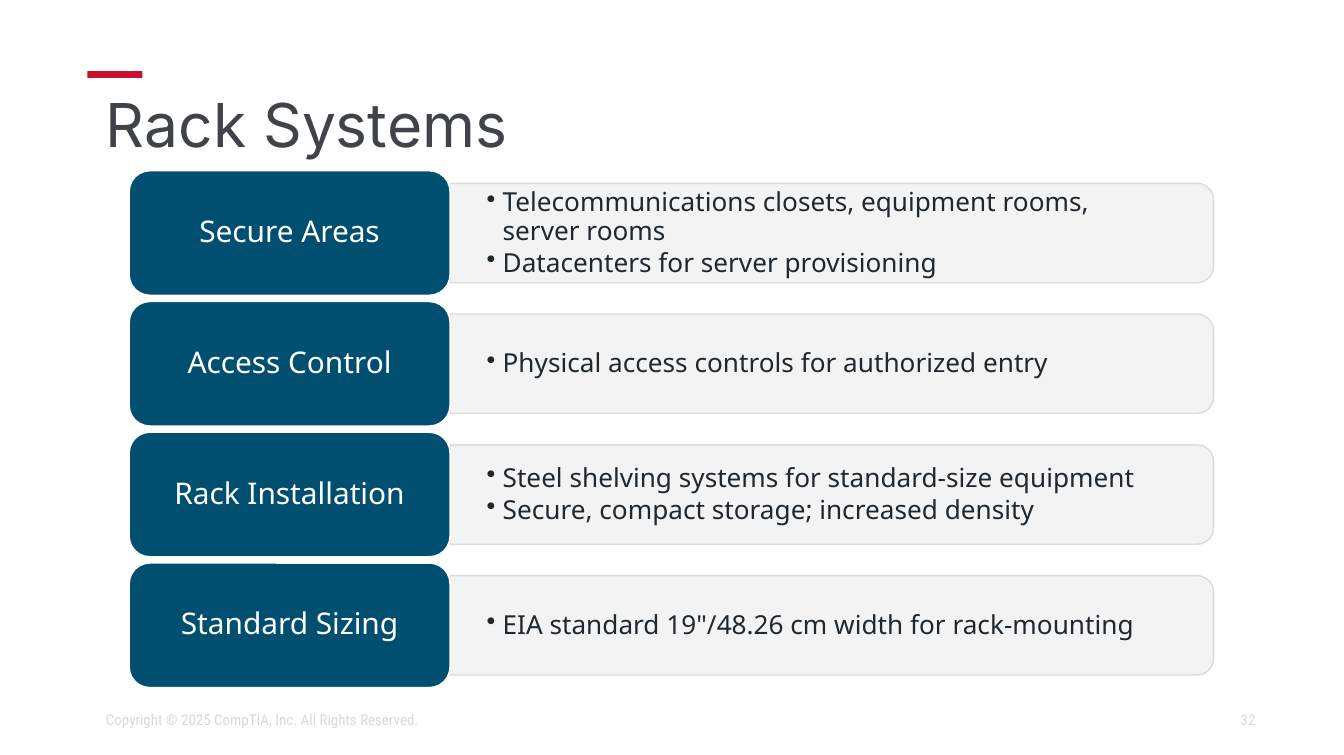
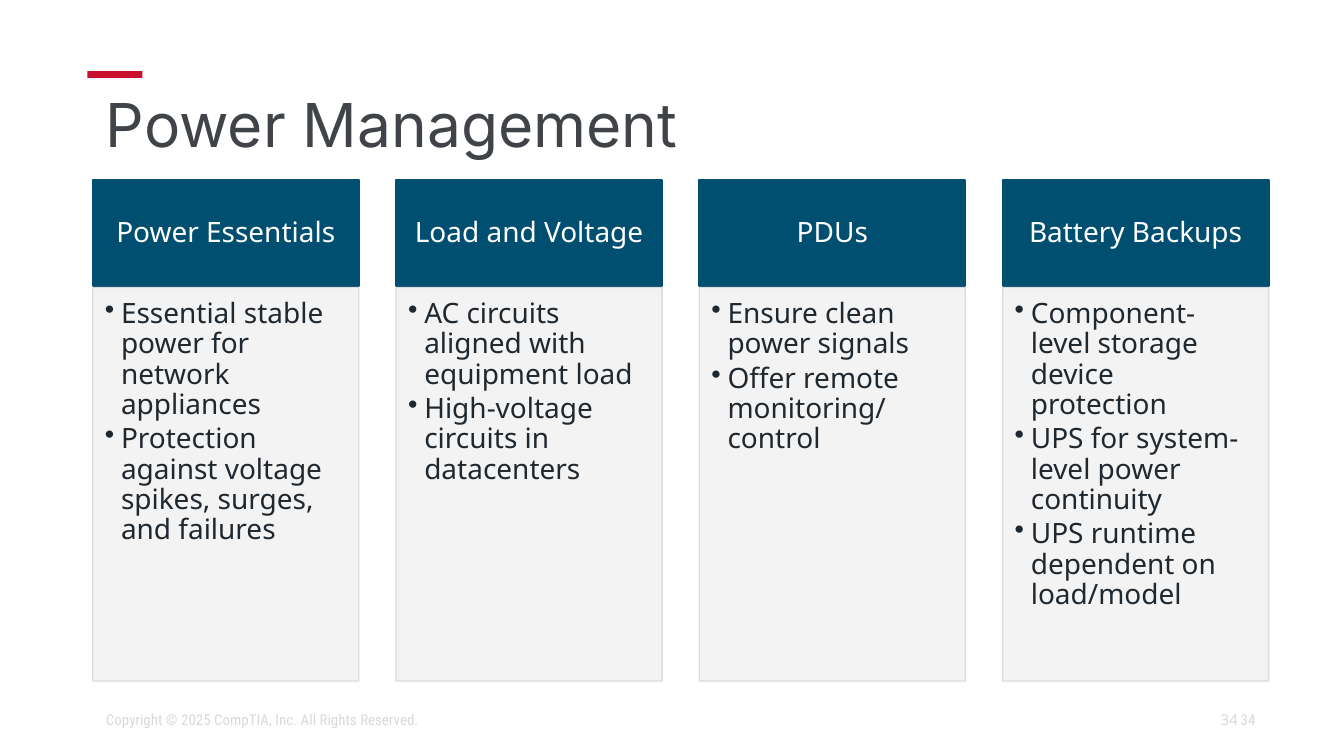
from lxml import etree
from pptx import Presentation
from pptx.dml.color import RGBColor
from pptx.enum.shapes import MSO_SHAPE
from pptx.enum.text import MSO_ANCHOR, PP_ALIGN
from pptx.oxml.ns import qn
from pptx.util import Inches, Pt

RECT = MSO_SHAPE.RECTANGLE
ROUNDED = MSO_SHAPE.ROUNDED_RECTANGLE
ROUND_TOP = MSO_SHAPE.ROUND_2_SAME_RECTANGLE
TOP, MIDDLE = MSO_ANCHOR.TOP, MSO_ANCHOR.MIDDLE
LEFT, CENTER, RIGHT = PP_ALIGN.LEFT, PP_ALIGN.CENTER, PP_ALIGN.RIGHT

RED = RGBColor(0xC8, 0x10, 0x2E)
BLUE = RGBColor(0x00, 0x4F, 0x71)
HEADER_BLUE = RGBColor(0x00, 0x4F, 0x70)
PANEL = RGBColor(0xF2, 0xF2, 0xF2)
PALE = RGBColor(0xD9, 0xD9, 0xD9)
TITLE_GRAY = RGBColor(0x40, 0x44, 0x48)
INK = RGBColor(0x20, 0x28, 0x2F)
WHITE = RGBColor(0xFF, 0xFF, 0xFF)

TITLE_FONT, BODY_FONT, FOOTER_FONT = "Inter", "Noto Sans", "Roboto Condensed"
COPYRIGHT = "Copyright © 2025 CompTIA, Inc. All Rights Reserved."
PLAIN_INSETS = (0.1, 0.05, 0.1, 0.05)

# Content
RACK_SYSTEMS = [
    ("Secure Areas", ["Telecommunications closets, equipment rooms, server rooms",
                      "Datacenters for server provisioning"]),
    ("Access Control", ["Physical access controls for authorized entry"]),
    ("Rack Installation", ["Steel shelving systems for standard-size equipment",
                           "Secure, compact storage; increased density"]),
    ("Standard Sizing", ['EIA standard 19"/48.26 cm width for rack-mounting']),
]
POWER_MANAGEMENT = [
    ("Power Essentials", ["Essential stable power for network appliances",
                          "Protection against voltage spikes, surges, and failures"]),
    ("Load and Voltage", ["AC circuits aligned with equipment load",
                          "High-voltage circuits in datacenters"]),
    ("PDUs", ["Ensure clean power signals", "Offer remote monitoring/ control"]),
    ("Battery Backups", ["Component-level storage device protection",
                         "UPS for system-level power continuity",
                         "UPS runtime dependent on load/model"]),
]


def write(sp, lines, size, color, font=BODY_FONT, align=LEFT, anchor=MIDDLE,
          insets=PLAIN_INSETS, bullet=False, spacing=0.9):
    tf = sp.text_frame
    tf.word_wrap = True
    tf.vertical_anchor = anchor
    tf.margin_left, tf.margin_top, tf.margin_right, tf.margin_bottom = map(Inches, insets)
    for i, line in enumerate(lines):
        p = tf.add_paragraph() if i else tf.paragraphs[0]
        if bullet:
            p.level = 1
            pPr = p._p.get_or_add_pPr()
            pPr.set("marL", str(Inches(0.12)))
            pPr.set("indent", str(-Inches(0.12)))
            etree.SubElement(pPr, qn("a:buChar")).set("char", "•")
            p.space_after = Pt(size * 0.15)
        p.alignment = align
        p.line_spacing = spacing
        r = p.add_run()
        r.text = line
        r.font.name, r.font.size, r.font.color.rgb = font, Pt(size), color


def add_text(s, box, text, size, color, **fmt):
    lines = [text] if isinstance(text, str) else text
    write(s.shapes.add_textbox(*map(Inches, box)), lines, size, color, **fmt)


def add_box(s, kind, box, fill, line=None, width=1, alpha=None):
    sp = s.shapes.add_shape(kind, *map(Inches, box))
    sp.shadow.inherit = False
    sp.fill.solid()
    sp.fill.fore_color.rgb = fill
    if line is None:
        sp.line.fill.background()
    else:
        sp.line.color.rgb = line
        sp.line.width = Pt(width)
    if alpha:
        for clr in sp._element.spPr.iter(qn("a:srgbClr")):
            etree.SubElement(clr, qn("a:alpha")).set("val", str(alpha * 1000))
    return sp


def add_panel(s, kind, box):
    return add_box(s, kind, box, PANEL, PALE, 0.75, alpha=90)


def new_slide(prs, title, number):
    s = prs.slides.add_slide(prs.slide_layouts[6])
    add_box(s, RECT, (0.65, 0.53, 0.41, 0.05), RED)
    add_text(s, (0.69, 0.64, 8.62, 0.63), title, 32.4, TITLE_GRAY, font=TITLE_FONT)
    footer = dict(font=FOOTER_FONT, spacing=1.0)
    add_text(s, (7.06, 5.21, 2.38, 0.3), number, 8, PALE, align=RIGHT, **footer)
    add_text(s, (0.69, 5.21, 4.31, 0.3), COPYRIGHT, 8, PALE, **footer)
    return s


def rack_slide(prs):
    s = new_slide(prs, "Rack Systems", "32")
    left, top, label_w, label_h = 0.96, 1.27, 2.39, 0.93
    panel_w, panel_h = 5.68, 0.74
    pitch = (4.19 - top) / (len(RACK_SYSTEMS) - 1)
    panel_left = left + label_w
    for i, (label, points) in enumerate(RACK_SYSTEMS):
        y = top + i * pitch
        mid = y + label_h / 2
        # Upright panel turned a quarter so its round corners face right
        panel = add_panel(s, ROUND_TOP, (panel_left + (panel_w - panel_h) / 2,
                                         mid - panel_w / 2, panel_h, panel_w))
        panel.rotation = 90
        add_text(s, (panel_left, mid - 0.33, 5.65, 0.67), points, 14, INK,
                 insets=(0.27, 0.14, 0.27, 0.14), bullet=True)
        tab = add_box(s, ROUNDED, (left, y, label_w, label_h), BLUE, WHITE)
        write(tab, [label], 16, WHITE, align=CENTER, insets=(0.07, 0.03, 0.07, 0.03))


def power_slide(prs):
    s = new_slide(prs, "Power Management", "34")
    # Second page number beside the footer one
    add_text(s, (7.06, 5.21, 2.25, 0.3), "34", 8, PALE, align=RIGHT, spacing=1.0)
    left, top, col_w, header_h, body_h = 0.69, 1.34, 1.98, 0.79, 2.93
    pitch = (7.46 - left) / (len(POWER_MANAGEMENT) - 1)
    for i, (label, points) in enumerate(POWER_MANAGEMENT):
        x = left + i * pitch
        header = add_box(s, RECT, (x, top, col_w, header_h), HEADER_BLUE, HEADER_BLUE)
        write(header, [label], 15, WHITE, align=CENTER, insets=(0.12, 0.07, 0.12, 0.07))
        body = add_panel(s, RECT, (x, top + header_h + 0.01, col_w, body_h))
        write(body, points, 15, INK, anchor=TOP, insets=(0.09, 0.09, 0.12, 0.13),
              bullet=True)


def main():
    prs = Presentation()
    prs.slide_width, prs.slide_height = Inches(10), Inches(5.62)
    rack_slide(prs)
    power_slide(prs)
    prs.save("out.pptx")


if __name__ == "__main__":
    main()
